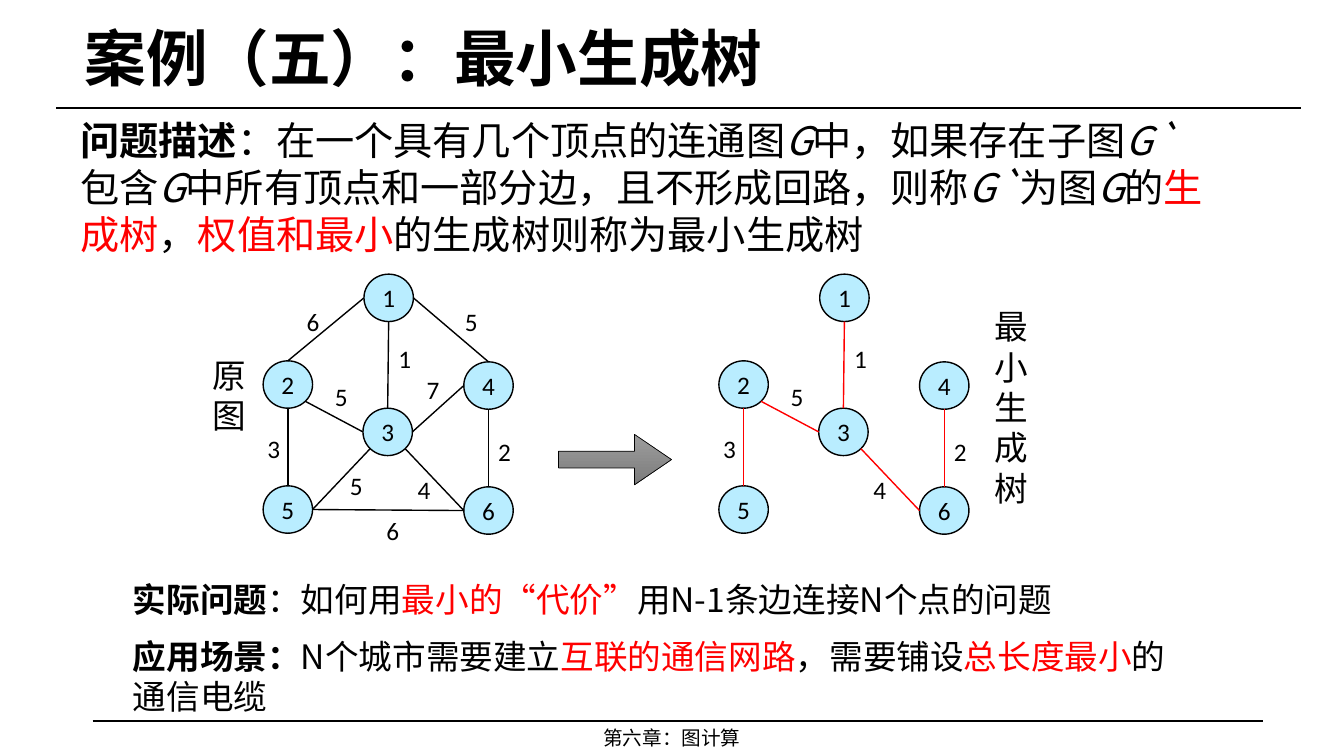
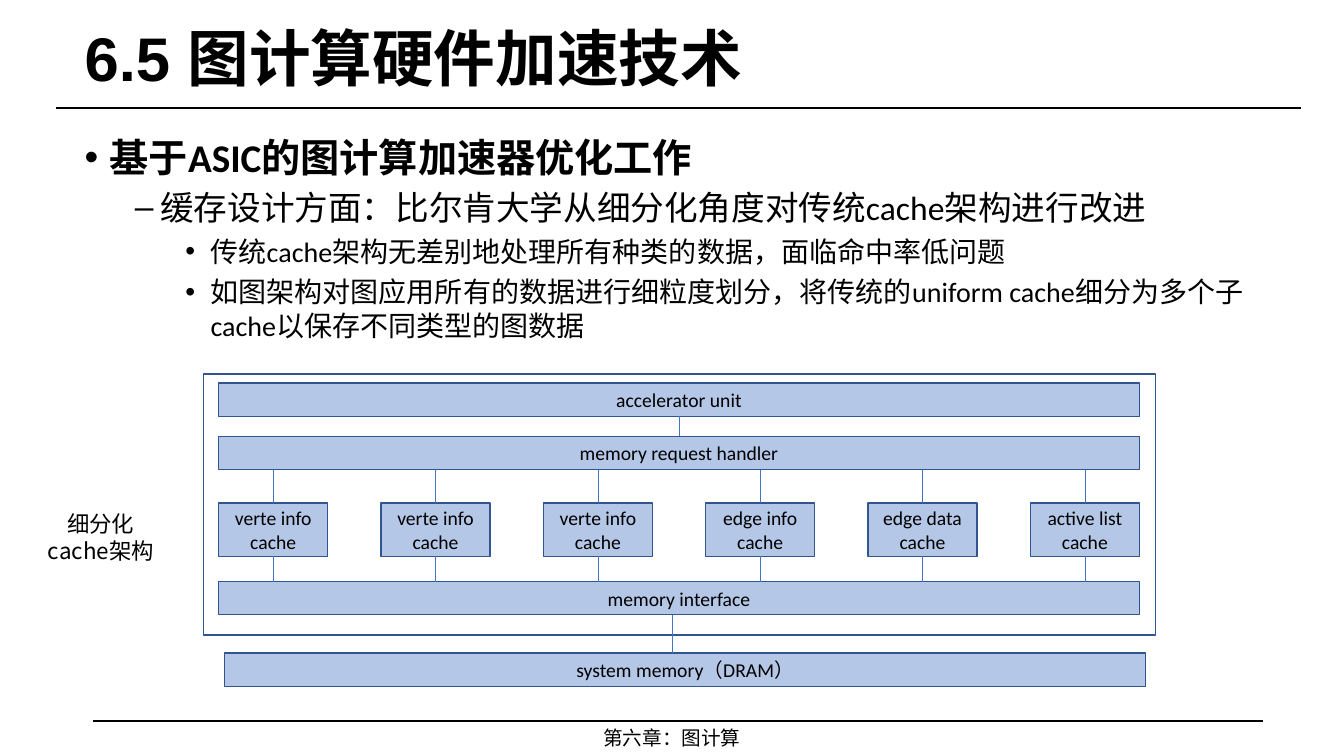
from math import cos, radians, sin

from lxml import etree
from pptx import Presentation
from pptx.dml.color import RGBColor
from pptx.enum import shapes, text
from pptx.oxml import ns
from pptx.util import Inches, Pt

COLORS = {
    "ink": "000000", "accent": "FF0000", "node": "B9EDFF",
    "block": "B4C7E7", "border": "325491", "wire": "4472C4",
    "arrow_top": "9D9D9D", "arrow_bottom": "7C7C7C",
}
CJK, SANS, HEAD = "Noto Sans CJK SC", "Calibri", "Arial"
CENTER, LEFT = text.PP_ALIGN.CENTER, text.PP_ALIGN.LEFT
MIDDLE, TOP = text.MSO_ANCHOR.MIDDLE, text.MSO_ANCHOR.TOP

NODE_W, NODE_H = 0.49, 0.47
NODES = {
    "1": (1.0, 0), "2": (0, 0.86), "4": (1.99, 0.87),
    "3": (0.99, 1.33), "5": (0, 2.1), "6": (1.99, 2.11),
}
ANGLES = {"right": 0, "lower right": 45, "bottom": 90,
          "lower left": 135, "left": 180, "top": 270}
EDGES = {
    "13": ("bottom", "top", "1", 1.24, 0.64),
    "23": ("lower right", "left", "5", 0.61, 1.01),
    "53": ("right", "lower left", "5", 0.76, 1.9),
    "34": ("right", "left", "7", 1.52, 0.94),
    "36": ("lower right", "left", "4", 1.43, 1.94),
    "12": ("left", "top", "6", 0.33, 0.27),
    "25": ("bottom", "top", "3", -0.06, 1.53),
    "56": ("right", "left", "6", 1.12, 2.34),
    "46": ("bottom", "top", "2", 2.23, 1.56),
    "14": ("right", "top", "5", 1.9, 0.27),
}
TREE = ("13", "23", "36", "25", "46")


def color(name):
    """Return a palette colour."""
    return RGBColor.from_string(COLORS[name])


def add_span(para, words, size, font, style=""):
    """Add one run; style may hold bold, italic and accent."""
    span = para.add_run()
    span.text = words
    span.font.size = Pt(size)
    span.font.name = font
    span.font.bold = "bold" in style
    span.font.italic = "italic" in style
    span.font.color.rgb = color("accent" if "accent" in style else "ink")
    latin = span.font._element.find(ns.qn("a:latin"))
    east = etree.Element(ns.qn("a:ea"), typeface=CJK)
    latin.addnext(east)


def fill_frame(frame, lines, size, font, align=LEFT, anchor=TOP, inset=0.1):
    """Write lines, each a list of (words, style), into a text frame."""
    frame.word_wrap = True
    frame.vertical_anchor = anchor
    frame.margin_left = frame.margin_right = Inches(inset)
    for index, spans in enumerate(lines):
        para = frame.paragraphs[0] if index == 0 else frame.add_paragraph()
        para.alignment = align
        for words, style in spans:
            add_span(para, words, size, font, style)


def add_text(page, box, lines, size, font, **layout):
    """Add a text box and return its frame."""
    frame = page.shapes.add_textbox(*map(Inches, box)).text_frame
    fill_frame(frame, lines, size, font, **layout)
    return frame


def add_line(page, start, end, name, width):
    """Add a straight line."""
    line = page.shapes.add_connector(
        shapes.MSO_CONNECTOR.STRAIGHT, *map(Inches, (*start, *end)))
    line.line.color.rgb = color(name)
    line.line.width = Pt(width)
    etree.SubElement(line._element.spPr, ns.qn("a:effectLst"))


def add_shape(page, kind, box, fill, border, width=1):
    """Add a preset shape without shadow."""
    shape = page.shapes.add_shape(kind, *map(Inches, box))
    shape.shadow.inherit = False
    if fill:
        shape.fill.solid()
        shape.fill.fore_color.rgb = color(fill)
    else:
        shape.fill.background()
    shape.line.color.rgb = color(border)
    shape.line.width = Pt(width)
    return shape


def add_page(deck, title):
    """Add a page with title, rules and footer."""
    page = deck.slides.add_slide(deck.slide_layouts[6])
    add_line(page, (0.56, 1.07), (12.9, 1.07), "ink", 1.75)
    add_line(page, (0.92, 7.15), (12.53, 7.15), "ink", 1.25)
    add_text(page, (3.98, 7.15, 5.37, 0.34), [[("第六章：图计算", "")]],
             14, CJK, align=CENTER)
    frame = add_text(page, (0.74, 0.15, 11.95, 0.92), [[(title, "bold")]],
                     44, HEAD, anchor=MIDDLE)
    frame.paragraphs[0].line_spacing = 0.9
    return page


def add_graph(page, left, top, edges, line_color):
    """Draw the weighted graph with the chosen edges."""
    def site(node, side):
        """Return the point on a node's outline."""
        x, y = NODES[node]
        angle = radians(ANGLES[side])
        return (left + x + NODE_W / 2 * (1 + cos(angle)),
                top + y + NODE_H / 2 * (1 + sin(angle)))

    for number, (x, y) in NODES.items():
        node = add_shape(page, shapes.MSO_SHAPE.OVAL,
                         (left + x, top + y, NODE_W, NODE_H), "node", "ink")
        fill_frame(node.text_frame, [[(number, "")]], 18, SANS,
                   align=CENTER, anchor=MIDDLE, inset=0)
    for edge in edges:
        start, end, weight, x, y = EDGES[edge]
        add_line(page, site(edge[0], start), site(edge[1], end), line_color, 1)
        add_text(page, (left + x, top + y, 0.33, 0.4), [[(weight, "")]],
                 18, SANS, align=CENTER, inset=0)


def add_arrow(page, box):
    """Draw the shaded arrow between the graphs."""
    arrow = add_shape(page, shapes.MSO_SHAPE.RIGHT_ARROW, box, None, "ink", 0.5)
    arrow.adjustments[0] = 0.333
    arrow.adjustments[1] = 0.734
    arrow.fill.gradient()
    arrow.fill.gradient_angle = 270
    for stop, name in zip(arrow.fill.gradient_stops, ("arrow_top", "arrow_bottom")):
        stop.color.rgb = color(name)


def add_bullets(page, box, items):
    """Write the bulleted outline from (level, size, words, style) items."""
    frame = add_text(page, box, [], 20, SANS)
    for index, (level, size, words, style) in enumerate(items):
        para = frame.add_paragraph() if index else frame.paragraphs[0]
        para.level = level
        if index:
            para.space_before = Pt(5)
        props = para._p.get_or_add_pPr()
        props.set("marL", str(Inches(0.25 + 0.5 * level)))
        props.set("indent", str(Inches(-0.25)))
        etree.SubElement(props, ns.qn("a:buFont"), typeface=HEAD)
        etree.SubElement(props, ns.qn("a:buChar"), char="–" if level == 1 else "•")
        add_span(para, words, size, SANS, style)


def add_block(page, box, *lines):
    """Draw a labelled block of the cache design."""
    block = add_shape(page, shapes.MSO_SHAPE.RECTANGLE, box, "block", "border")
    fill_frame(block.text_frame, [[(line, "")] for line in lines], 14, SANS,
               align=CENTER, anchor=MIDDLE, inset=0)
    block.text_frame.margin_top = block.text_frame.margin_bottom = 0


def add_cache_diagram(page, left, top, width, height):
    """Draw the subdivided cache design inside its frame."""
    bar_left, bar_width, bar_height = left + 0.15, width - 0.31, 0.33
    cache_width, cache_height, cache_top = 1.08, 0.53, top + 1.28
    bars = (("accelerator unit", 0, 0.09), ("memory request handler", 0, 0.62),
            ("memory interface", 0, 2.06), ("system memory（DRAM）", 0.06, 2.77))
    for label, shift, y in bars:
        add_block(page, (bar_left + shift, top + y, bar_width, bar_height), label)
    caches = ("verte info",) * 3 + ("edge info", "edge data", "active list")
    pitch = (bar_width - cache_width) / (len(caches) - 1)
    wires = [(bar_left + bar_width / 2, top + 0.42, top + 0.62),
             (left + 4.65, top + 2.39, top + 2.77)]
    for index, label in enumerate(caches):
        x = bar_left + index * pitch
        add_block(page, (x, cache_top, cache_width, cache_height), label, "cache")
        center = x + cache_width / 2
        wires.append((center, top + 0.95, cache_top))
        wires.append((center, cache_top + cache_height, top + 2.06))
    add_shape(page, shapes.MSO_SHAPE.RECTANGLE, (left, top, width, height),
              None, "border")
    for x, start, end in wires:
        add_line(page, (x, start), (x, end), "wire", 0.5)


def build_spanning_tree(deck):
    """Build the minimum spanning tree page."""
    page = add_page(deck, "案例（五）：最小生成树")
    add_text(page, (0.7, 1.1, 11.4, 1.51), [[
        ("问题描述", "bold"), ("：在一个具有几个顶点的连通图", ""),
        ("G", "italic"), ("中，如果存在子图", ""), ("G`", "italic"),
        ("包含", ""), ("G", "italic"),
        ("中所有顶点和一部分边，且不形成回路，则称", ""), ("G`", "italic"),
        ("为图", ""), ("G", "italic"), ("的", ""), ("生成树", "accent"),
        ("，", ""), ("权值和最小", "accent"),
        ("的生成树则称为最小生成树", "")]], 28, CJK)
    add_graph(page, 2.61, 2.72, EDGES, "ink")
    add_graph(page, 7.13, 2.72, TREE, "accent")
    add_arrow(page, (5.54, 4.31, 1.12, 0.5))
    for box, label in (((2.01, 3.47, 0.54, 0.91), "原图"),
                       ((9.77, 2.99, 0.54, 2.12), "最小生成树")):
        add_text(page, box, [[(letter, "")] for letter in label], 24, HEAD)
    add_text(page, (1.22, 5.69, 11.4, 0.5), [[
        ("实际问题", "bold"), ("：如何用", ""), ("最小的“代价”", "accent"),
        ("用N-1条边连接N个点的问题", "")]], 24, CJK)
    add_text(page, (1.22, 6.26, 10.45, 0.91), [[
        ("应用场景：", "bold"), ("N个城市需要建立", ""),
        ("互联的通信网路", "accent"), ("，需要铺设", ""),
        ("总长度最小", "accent"), ("的通信电缆", "")]], 24, CJK)


def build_cache_design(deck):
    """Build the hardware acceleration page."""
    page = add_page(deck, "6.5 图计算硬件加速技术")
    add_bullets(page, (0.74, 1.27, 11.95, 2.3), (
        (0, 28, "基于ASIC的图计算加速器优化工作", "bold"),
        (1, 24, "缓存设计方面：比尔肯大学从细分化角度对传统cache架构进行改进", ""),
        (2, 20, "传统cache架构无差别地处理所有种类的数据，面临命中率低问题", ""),
        (2, 20, "如图架构对图应用所有的数据进行细粒度划分，将传统的uniform cache"
                "细分为多个子cache以保存不同类型的图数据", "")))
    add_cache_diagram(page, 2.02, 3.71, 9.44, 2.59)
    add_text(page, (0.36, 5.01, 1.28, 0.64), [[("细分化cache架构", "")]],
             16, CJK, align=CENTER)


def main():
    """Build and save the deck."""
    deck = Presentation()
    deck.slide_width, deck.slide_height = Inches(13.33), Inches(7.5)
    build_spanning_tree(deck)
    build_cache_design(deck)
    deck.save("out.pptx")


if __name__ == "__main__":
    main()
